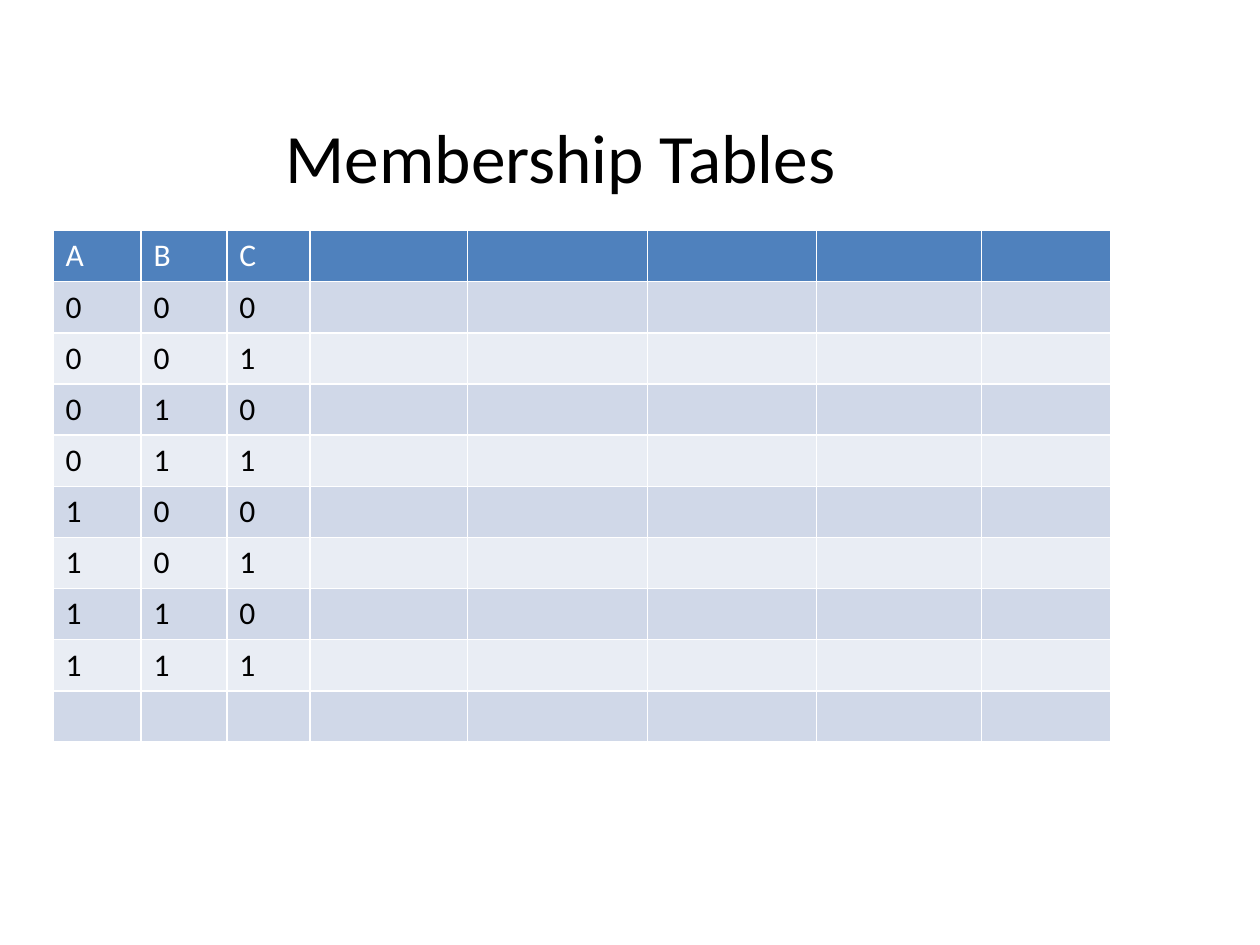
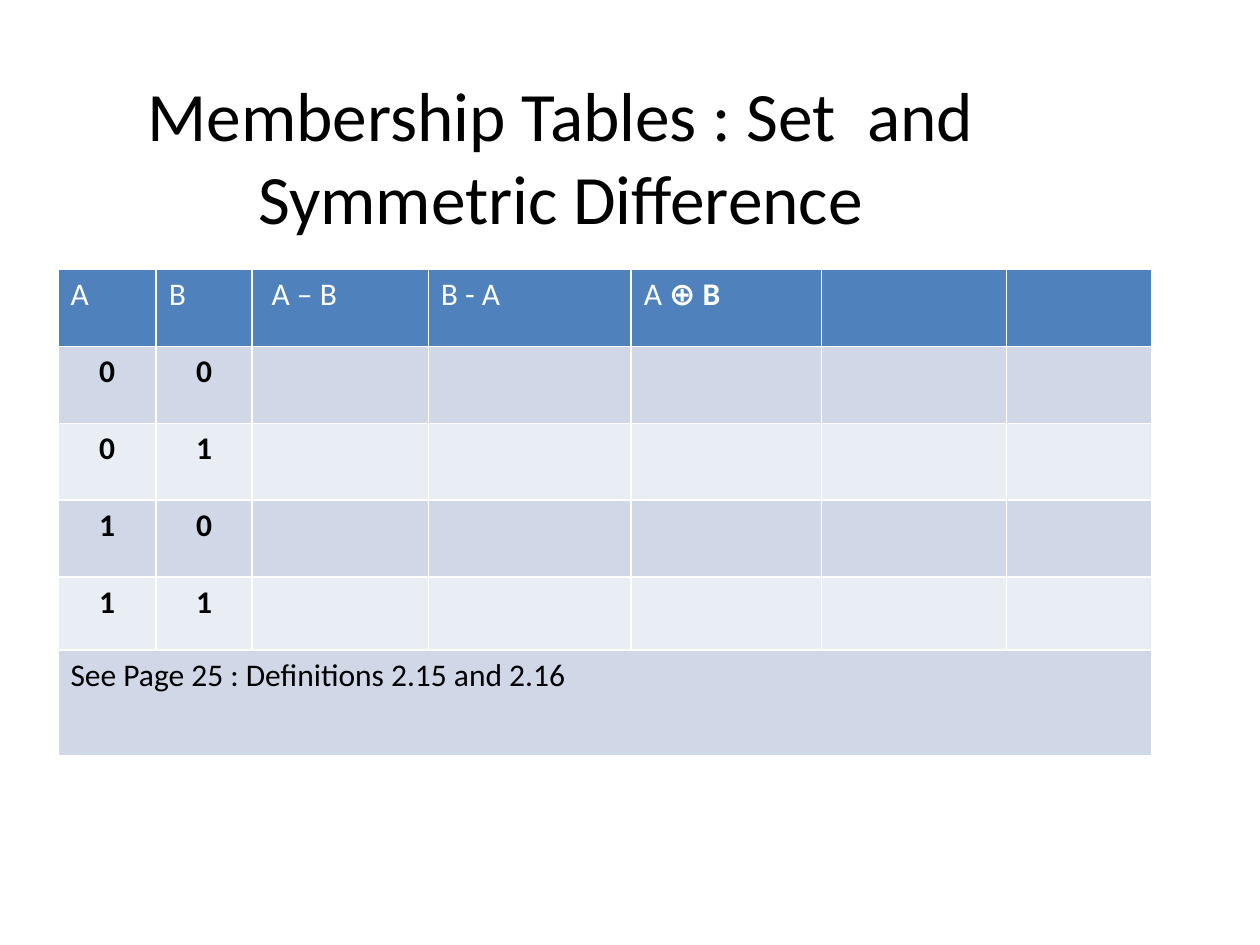
from itertools import product

from pptx import Presentation
from pptx.dml.color import RGBColor
from pptx.enum.text import MSO_ANCHOR, MSO_AUTO_SIZE, PP_ALIGN
from pptx.util import Inches, Pt

BLACK = RGBColor(0x00, 0x00, 0x00)
WHITE = RGBColor(0xFF, 0xFF, 0xFF)
HEADER = RGBColor(0x4F, 0x81, 0xBD)
BAND_DARK = RGBColor(0xD0, 0xD8, 0xE8)
BAND_LIGHT = RGBColor(0xE9, 0xED, 0xF4)


class Deck:
    font = "Calibri"
    title_box = (0.39, 1.02, 8.12, 0.43)
    title_size = 39.6
    cell_size = 18

    def __init__(self):
        self.prs = Presentation()
        self.prs.slide_width = Inches(10)
        self.prs.slide_height = Inches(7.5)
        self.s = None

    def slide(self, title):
        self.s = self.prs.slides.add_slide(self.prs.slide_layouts[5])
        sp = self.s.shapes.title
        sp.left, sp.top, sp.width, sp.height = map(Inches, self.title_box)
        tf = sp.text_frame
        frame = dict(word_wrap=True, auto_size=MSO_AUTO_SIZE.NONE,
                     vertical_anchor=MSO_ANCHOR.MIDDLE)
        for name, value in frame.items():
            setattr(tf, name, value)
        p = tf.paragraphs[0]
        p.alignment = PP_ALIGN.CENTER
        self.run(p, title, self.title_size, BLACK)

    def run(self, p, text, size, color, bold=False):
        r = p.add_run()
        r.text = text
        for name, value in dict(name=self.font, size=Pt(size), bold=bold).items():
            setattr(r.font, name, value)
        r.font.color.rgb = color

    def table(self, left, top, widths, heights):
        frame = self.s.shapes.add_table(
            len(heights), len(widths), Inches(left), Inches(top),
            Inches(sum(widths)), Inches(sum(heights)))
        tbl = frame.table
        for col, width in zip(tbl.columns, widths):
            col.width = Inches(width)
        for i, (row, height) in enumerate(zip(tbl.rows, heights)):
            row.height = Inches(height)
            band = BAND_DARK if i % 2 else BAND_LIGHT
            for cell in row.cells:
                cell.fill.solid()
                cell.fill.fore_color.rgb = band if i else HEADER
        return tbl

    def cell(self, tbl, row, col, text, bold=False, align=None):
        p = tbl.cell(row, col).text_frame.paragraphs[0]
        p.alignment = align
        self.run(p, text, self.cell_size, BLACK if row else WHITE, bold)
        return p

    def headings(self, tbl, texts):
        return [self.cell(tbl, 0, j, text) for j, text in enumerate(texts)]

    def truth_rows(self, tbl, sets, **style):
        for i, bits in enumerate(product("01", repeat=sets), 1):
            for j, bit in enumerate(bits):
                self.cell(tbl, i, j, bit, **style)


deck = Deck()

deck.slide("Membership Tables")
tbl = deck.table(0.42, 1.83, [0.7, 0.68, 0.66, 1.25, 1.43, 1.34, 1.31, 1.03],
                 [0.406] * 10)
deck.headings(tbl, "ABC")
deck.truth_rows(tbl, 3)

deck.slide("Membership Tables : Set  and Symmetric Difference")
tbl = deck.table(0.46, 2.14, [0.78, 0.76, 1.4, 1.61, 1.51, 1.47, 1.15],
                 [0.61] * 4 + [0.58, 0.84])
heads = deck.headings(tbl, ["A", "B", " A – B", "B - A", "A "])
deck.run(heads[-1], "⊕ B", deck.cell_size, WHITE, bold=True)
deck.truth_rows(tbl, 2, bold=True, align=PP_ALIGN.CENTER)
tbl.cell(5, 0).merge(tbl.cell(5, 6))
deck.cell(tbl, 5, 0, "See Page 25 : Definitions 2.15 and 2.16")

deck.prs.save("out.pptx")
